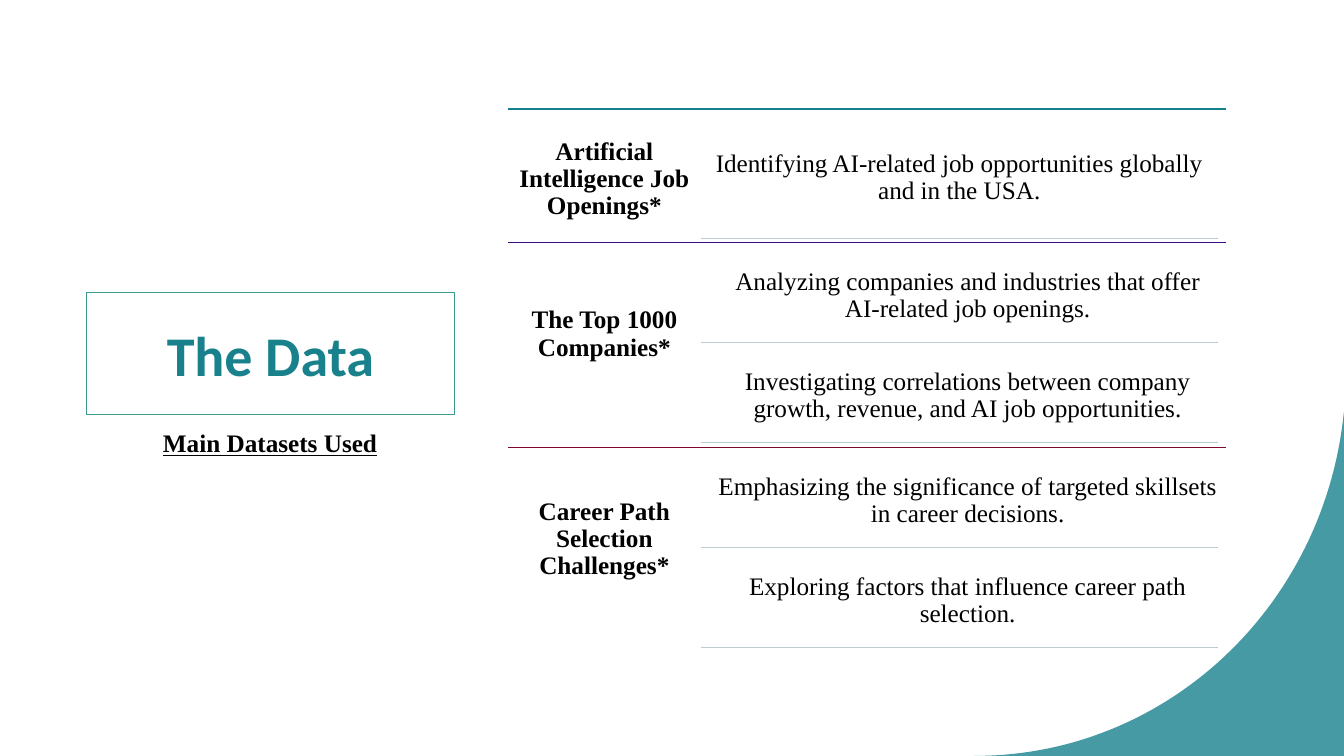
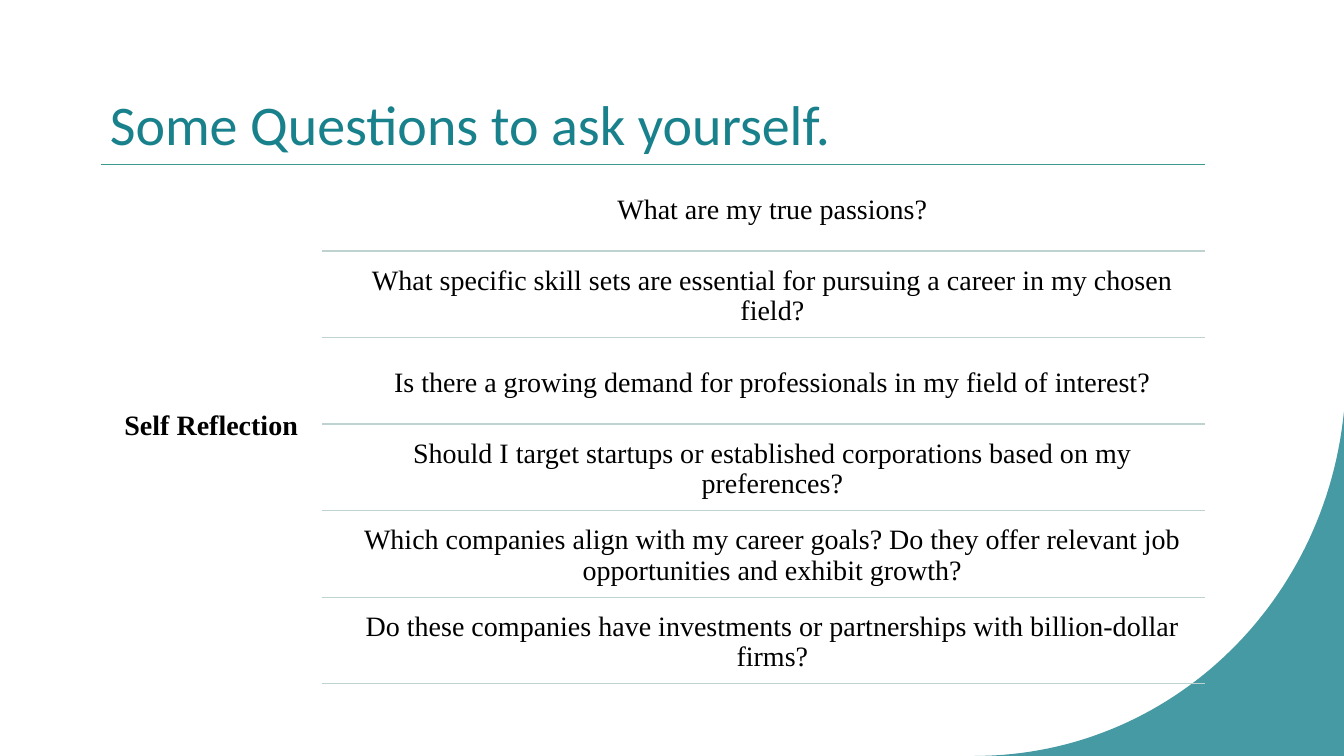
from dataclasses import dataclass
from typing import Optional

from lxml.etree import SubElement
from pptx import Presentation
from pptx.dml.color import RGBColor
from pptx.enum.shapes import MSO_CONNECTOR
from pptx.enum.text import MSO_ANCHOR, PP_ALIGN
from pptx.oxml.ns import qn
from pptx.util import Emu, Pt

COLS, ROWS = 160, 90
UNIT = 76200  # one square grid cell, in EMU


@dataclass(frozen=True)
class Theme:
    accent: str = "18818C"
    frame: str = "3C9A8F"
    ink: str = "000000"
    heading_font: str = "Calibri"
    body_font: str = "Times New Roman"
    title_size: float = 40
    subtitle_size: float = 18
    frame_width: float = 0.75
    rule_width: float = 1
    wave_alpha: int = 80


@dataclass(frozen=True)
class Box:
    """Left, top, width and height in grid cells."""
    x: float
    y: float
    w: float
    h: float


@dataclass(frozen=True)
class TextStyle:
    size: float
    font: str
    color: str
    bold: bool = False
    underline: bool = False
    align: PP_ALIGN = PP_ALIGN.CENTER
    spacing: float = 1.0
    inset: tuple[float, float] = (7.2, 3.6)


@dataclass(frozen=True)
class Layout:
    """Columns and type of a list with a label column on its left."""
    left: float
    right: float
    label_w: float
    rule_right: float
    item_w: float
    item_h: float
    size: float
    inset: float
    rule_color: str


@dataclass(frozen=True)
class Section:
    label: str
    items: tuple[str, ...]
    top: float
    label_h: float
    item_x: float
    gap: float
    pitch: float
    color: str


THEME = Theme()

DATA_LAYOUT = Layout(60.5, 145.9, 22.9, 145, 61.6, 11.3, 18, 5, "BBCCCF")
DATA_SECTIONS = (
    Section("Artificial Intelligence Job Openings*",
            ("Identifying AI-related job opportunities globally and in the USA.",),
            13, 16.7, 83.4, 2.5, 15.4, "15818C"),
    Section("The Top 1000 Companies*",
            ("Analyzing companies and industries that offer AI-related job openings.",
             "Investigating correlations between company growth, revenue, "
             "and AI job opportunities."),
            28.9, 21.8, 84.4, 0.7, 11.9, "3D0E86"),
    Section("Career Path Selection Challenges*",
            ("Emphasizing the significance of targeted skillsets in career decisions.",
             "Exploring factors that influence career path selection."),
            53.3, 21.8, 84.4, 0.7, 11.9, "7F082E"),
)

QUESTION_LAYOUT = Layout(12, 143.5, 26.3, 143.5, 103.3, 9.8, 20, 6, "BED3CF")
QUESTION_SECTIONS = (
    Section("Self Reflection",
            ("What are my true passions?",
             "What specific skill sets are essential for pursuing a career "
             "in my chosen field?",
             "Is there a growing demand for professionals in my field of interest?",
             "Should I target startups or established corporations based on "
             "my preferences?",
             "Which companies align with my career goals? Do they offer relevant "
             "job opportunities and exhibit growth?",
             "Do these companies have investments or partnerships with "
             "billion-dollar firms?"),
            19.6, 62.3, 40.3, 0.5, 10.3, "399A8D"),
)


def grid(cells: float) -> Emu:
    return Emu(round(cells * UNIT))


def rgb(color: str) -> RGBColor:
    return RGBColor.from_string(color)


def set_all(target, values: dict) -> None:
    for name, value in values.items():
        setattr(target, name, value)


def add_text(s, text: str, box: Box, style: TextStyle,
             anchor: MSO_ANCHOR = MSO_ANCHOR.MIDDLE, frame: Optional[str] = None) -> None:
    sp = s.shapes.add_textbox(*map(grid, (box.x, box.y, box.w, box.h)))
    if frame:
        sp.line.color.rgb = rgb(frame)
        sp.line.width = Pt(THEME.frame_width)
    tf = sp.text_frame
    side, end = map(Pt, style.inset)
    set_all(tf, {"word_wrap": True, "vertical_anchor": anchor,
                 "margin_left": side, "margin_right": side,
                 "margin_top": end, "margin_bottom": end})
    p = tf.paragraphs[0]
    set_all(p, {"alignment": style.align, "line_spacing": style.spacing})
    r = p.add_run()
    r.text = text
    set_all(r.font, {"name": style.font, "size": Pt(style.size),
                     "bold": style.bold, "underline": style.underline})
    r.font.color.rgb = rgb(style.color)


def add_rule(s, left: float, right: float, y: float, color: str) -> None:
    line = s.shapes.add_connector(MSO_CONNECTOR.STRAIGHT,
                                  grid(left), grid(y), grid(right), grid(y))
    line.line.color.rgb = rgb(color)
    line.line.width = Pt(THEME.rule_width)
    SubElement(line._element.spPr, qn("a:effectLst"))


def add_wave(s, steps: int = 60) -> None:
    """Fill the lower right corner up to a Bézier curve."""
    curve = ((116, 90), (138.9, 90), (157.7, 72.2), (COLS, 49))
    points = []
    for i in range(1, steps + 1):
        t = i / steps
        weights = ((1 - t) ** 3, 3 * t * (1 - t) ** 2, 3 * t * t * (1 - t), t ** 3)
        points.append(tuple(grid(sum(w * pt[axis] for w, pt in zip(weights, curve)))
                            for axis in (0, 1)))
    points.append((grid(COLS), grid(ROWS)))
    outline = s.shapes.build_freeform(*map(grid, curve[0]))
    outline.add_line_segments(points, close=True)
    sp = outline.convert_to_shape()
    sp.shadow.inherit = False
    sp.line.fill.background()
    sp.fill.solid()
    sp.fill.fore_color.rgb = rgb(THEME.accent)
    color = sp._element.spPr.find(qn("a:solidFill"))[0]
    SubElement(color, qn("a:alpha"), val=str(THEME.wave_alpha * 1000))


def add_section(s, section: Section, layout: Layout) -> None:
    def style(bold: bool) -> TextStyle:
        return TextStyle(layout.size, THEME.body_font, THEME.ink, bold,
                         spacing=0.9, inset=(layout.inset, layout.inset))

    add_rule(s, layout.left, layout.right, section.top, section.color)
    add_text(s, section.label,
             Box(layout.left, section.top, layout.label_w, section.label_h), style(True))
    for i, item in enumerate(section.items):
        y = section.top + i * section.pitch
        add_text(s, item, Box(section.item_x, y + section.gap,
                              layout.item_w, layout.item_h), style(False))
        add_rule(s, layout.left + layout.label_w, layout.rule_right,
                 y + section.pitch, layout.rule_color)


def add_title(s, text: str, box: Box, align: PP_ALIGN, bold: bool = False,
              frame: Optional[str] = None) -> None:
    style = TextStyle(THEME.title_size, THEME.heading_font, THEME.accent, bold, align=align)
    add_text(s, text, box, style, frame=frame)


def new_slide(prs):
    s = prs.slides.add_slide(prs.slide_layouts[6])
    add_wave(s)
    return s


def data_slide(prs) -> None:
    s = new_slide(prs)
    add_title(s, "The Data", Box(10.3, 34.8, 43.8, 14.6), PP_ALIGN.CENTER, True, THEME.frame)
    add_text(s, "Main Datasets Used", Box(14.8, 50.3, 34.7, 4.8),
             TextStyle(THEME.subtitle_size, THEME.body_font, THEME.ink, True, True),
             MSO_ANCHOR.TOP)
    for section in DATA_SECTIONS:
        add_section(s, section, DATA_LAYOUT)


def question_slide(prs) -> None:
    s = new_slide(prs)
    add_title(s, "Some Questions to ask yourself.", Box(11.9, 5.9, 130.1, 17.4),
              PP_ALIGN.LEFT)
    for section in QUESTION_SECTIONS:
        add_section(s, section, QUESTION_LAYOUT)


def main() -> None:
    prs = Presentation()
    set_all(prs, {"slide_width": grid(COLS), "slide_height": grid(ROWS)})
    data_slide(prs)
    question_slide(prs)
    prs.save("out.pptx")


if __name__ == "__main__":
    main()
